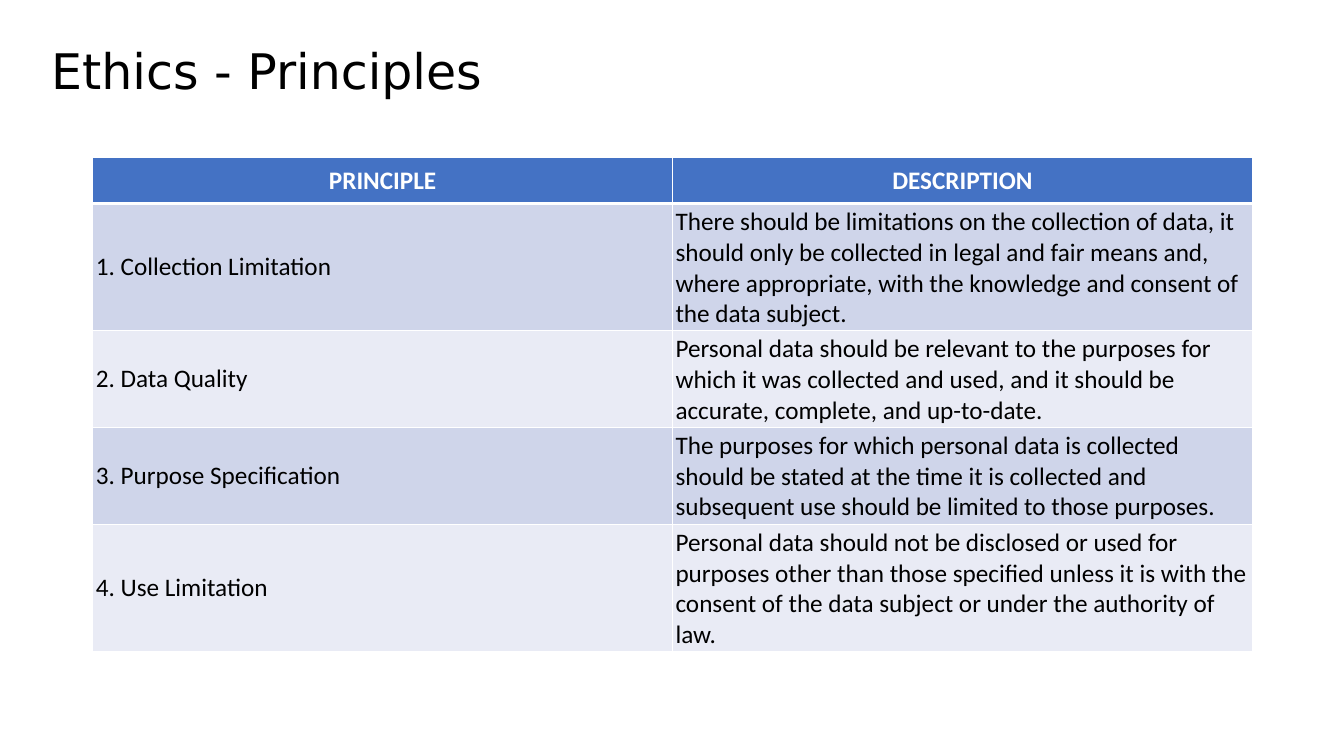
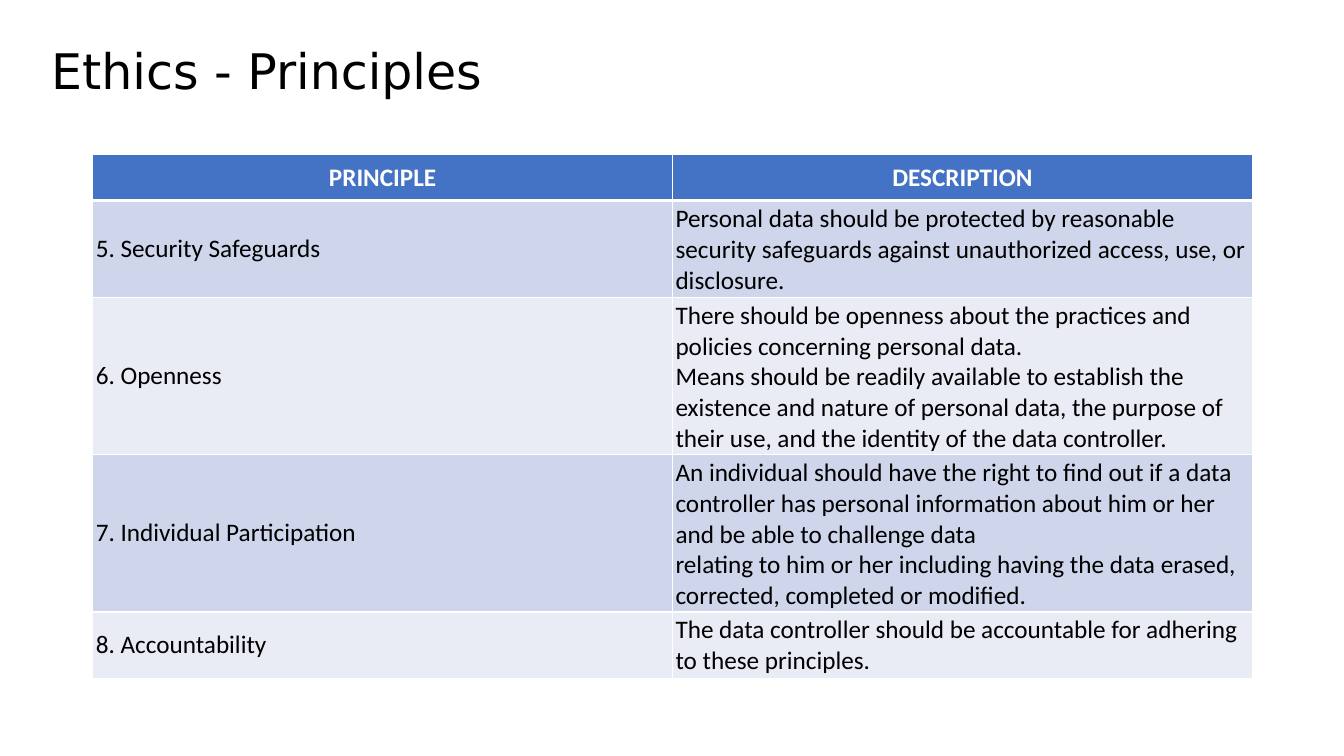
from dataclasses import dataclass

from lxml.etree import SubElement
from pptx import Presentation
from pptx.dml.color import RGBColor
from pptx.enum.text import MSO_ANCHOR, PP_ALIGN
from pptx.oxml.ns import qn
from pptx.util import Inches, Pt


@dataclass(frozen=True)
class Theme:
    """Colours, fonts and type sizes shared by every slide."""
    text: str = "000000"
    white: str = "FFFFFF"
    header: str = "4472C4"
    bands: tuple = ("CFD5EA", "E9EBF5")
    title_font: str = "DejaVu Sans"
    body_font: str = "Calibri"
    title_size: int = 35
    body_size: int = 18
    thin_line: int = 1
    header_line: int = 3


class PrincipleDeck:
    """Holds the style and the current slide."""

    def __init__(self, theme):
        self.theme = theme
        self.deck = Presentation()
        self.deck.slide_width = Inches(13.33)
        self.deck.slide_height = Inches(7.5)
        self.page = None

    def add_page(self, title):
        self.page = self.deck.slides.add_slide(self.deck.slide_layouts[6])
        self.add_title(title)

    def style_text(self, frame, font, size, color, bold=False, align=PP_ALIGN.LEFT):
        for para in frame.paragraphs:
            para.alignment = align
            for span in para.runs:
                span.font.name = font
                span.font.size = Pt(size)
                span.font.bold = bold
                span.font.color.rgb = RGBColor.from_string(color)

    def add_title(self, title):
        box = self.page.shapes.add_textbox(
            Inches(0.41), Inches(0.41), Inches(11.5), Inches(0.64))
        frame = box.text_frame
        frame.word_wrap = True
        frame.vertical_anchor = MSO_ANCHOR.MIDDLE
        frame.text = title
        frame.paragraphs[0].line_spacing = 0.9
        self.style_text(frame, self.theme.title_font, self.theme.title_size,
                        self.theme.text)

    def add_borders(self, cell, bottom_width):
        properties = cell._tc.get_or_add_tcPr()
        thin = self.theme.thin_line
        widths = {"lnL": thin, "lnR": thin, "lnT": thin, "lnB": bottom_width}
        for side, width in widths.items():
            line = SubElement(properties, qn(f"a:{side}"), w=str(Pt(width)))
            fill = SubElement(line, qn("a:solidFill"))
            SubElement(fill, qn("a:srgbClr"), val=self.theme.white)

    def fill_cell(self, cell, text, is_header, color):
        theme = self.theme
        # Borders come before the fill in the cell properties
        self.add_borders(cell, theme.header_line if is_header else theme.thin_line)
        cell.fill.solid()
        cell.fill.fore_color.rgb = RGBColor.from_string(color)
        cell.vertical_anchor = MSO_ANCHOR.MIDDLE
        margin = Inches(0.08 if is_header else 0.03)
        cell.margin_left = cell.margin_right = margin
        cell.margin_top = cell.margin_bottom = margin
        cell.text_frame.text = text
        self.style_text(cell.text_frame, theme.body_font, theme.body_size,
                        theme.white if is_header else theme.text, is_header,
                        PP_ALIGN.CENTER if is_header else PP_ALIGN.LEFT)

    def add_table(self, top, height, principles):
        rows = [("PRINCIPLE", "DESCRIPTION"), *principles]
        box = self.page.shapes.add_table(
            len(rows), 2, Inches(0.92), Inches(top), Inches(11.5), Inches(height))
        table = box.table
        for index, texts in enumerate(rows):
            # Rows start at a minimum height and grow with their text
            table.rows[index].height = Inches(0.41)
            is_header = index == 0
            color = self.theme.header if is_header else self.theme.bands[(index - 1) % 2]
            for column, text in enumerate(texts):
                self.fill_cell(table.cell(index, column), text, is_header, color)
        box.height = Inches(height)


# Table position, height and rows for each slide
PAGES = [
    (1.56, 4.92, [
        ("1. Collection Limitation",
         "There should be limitations on the collection of data, it should only be "
         "collected in legal and fair means and, where appropriate, with the "
         "knowledge and consent of the data subject."),
        ("2. Data Quality",
         "Personal data should be relevant to the purposes for which it was collected "
         "and used, and it should be accurate, complete, and up-to-date."),
        ("3. Purpose Specification",
         "The purposes for which personal data is collected should be stated at the "
         "time it is collected and subsequent use should be limited to those purposes."),
        ("4. Use Limitation",
         "Personal data should not be disclosed or used for purposes other than those "
         "specified unless it is with the consent of the data subject or under the "
         "authority of law."),
    ]),
    (1.53, 5.22, [
        ("5. Security Safeguards",
         "Personal data should be protected by reasonable security safeguards against "
         "unauthorized access, use, or disclosure."),
        ("6. Openness",
         "There should be openness about the practices and policies concerning "
         "personal data.\vMeans should be readily available to establish the existence "
         "and nature of personal data, the purpose of their use, and the identity of "
         "the data controller."),
        ("7. Individual Participation",
         "An individual should have the right to find out if a data controller has "
         "personal information about him or her and be able to challenge data\v"
         "relating to him or her including having the data erased, corrected, "
         "completed or modified."),
        ("8. Accountability",
         "The data controller should be accountable for adhering to these principles."),
    ]),
]


def main():
    builder = PrincipleDeck(Theme())
    for top, height, principles in PAGES:
        builder.add_page("Ethics - Principles")
        builder.add_table(top, height, principles)
    builder.deck.save("out.pptx")


if __name__ == "__main__":
    main()
